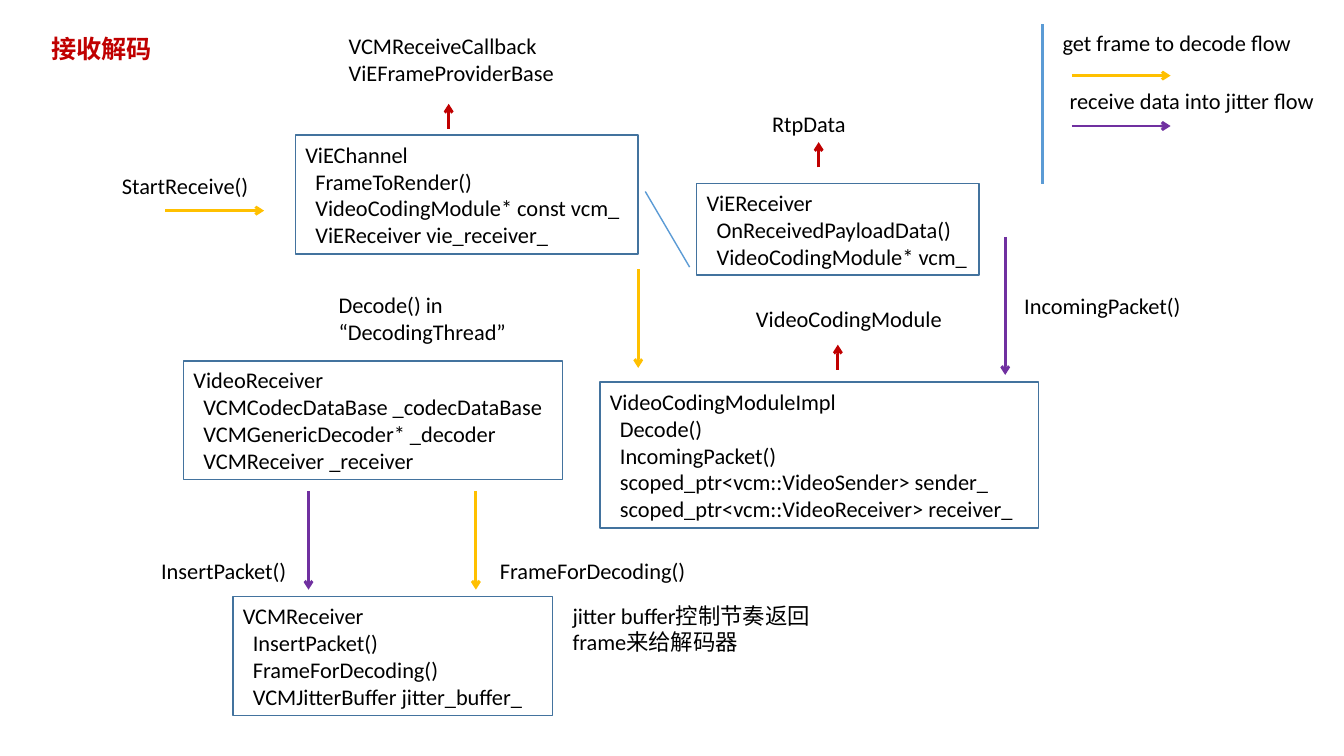
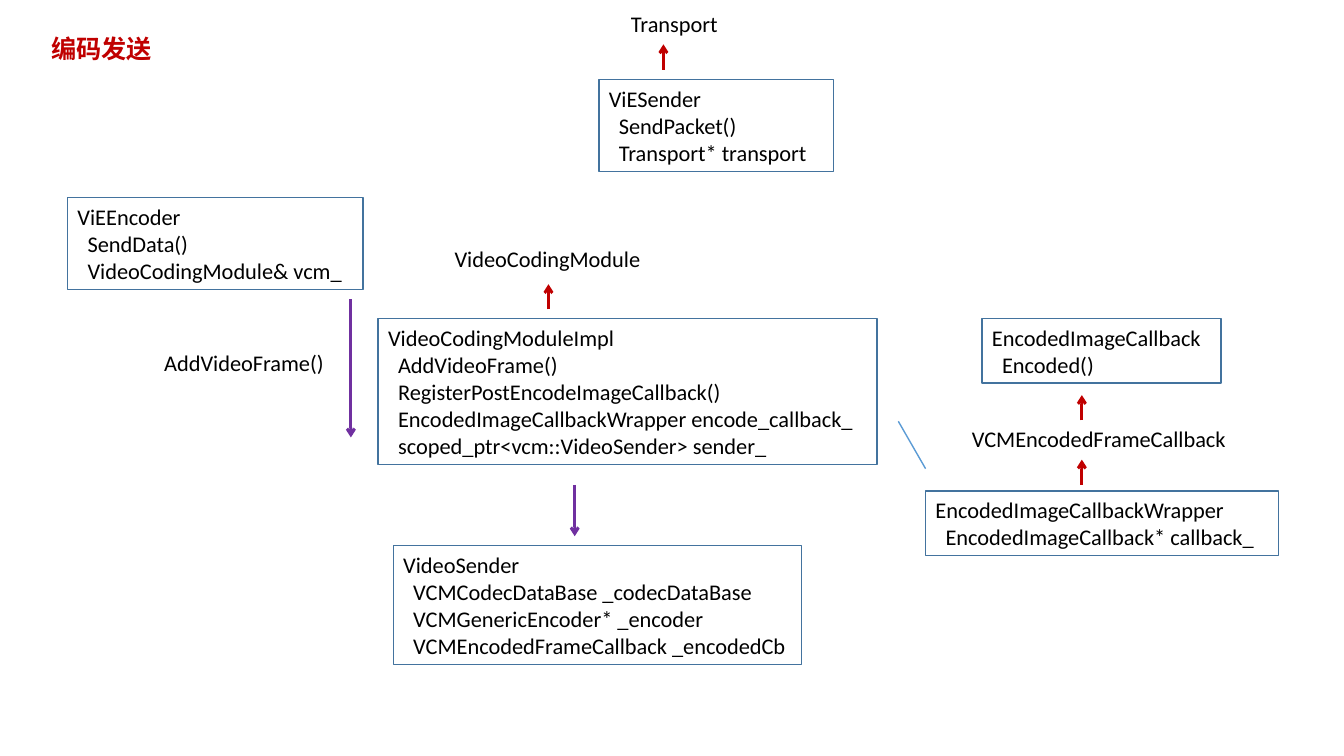
from lxml import etree
from pptx import Presentation
from pptx.dml.color import RGBColor
from pptx.enum.shapes import MSO_CONNECTOR, MSO_SHAPE
from pptx.enum.text import MSO_ANCHOR, MSO_AUTO_SIZE, PP_ALIGN
from pptx.oxml.ns import qn
from pptx.util import Inches, Pt

RECT = MSO_SHAPE.RECTANGLE
STRAIGHT = MSO_CONNECTOR.STRAIGHT
FIT = MSO_AUTO_SIZE.SHAPE_TO_FIT_TEXT
LEFT = PP_ALIGN.LEFT
MIDDLE, TOP = MSO_ANCHOR.MIDDLE, MSO_ANCHOR.TOP

FONT = "Calibri"
BLACK, RED, EDGE, BLUE = "000000", "C00000", "43739E", "5B9BD5"
GOLD, PURPLE = "FFC000", "7030A0"
PAD, ROW = 0.1, 0.27    # box height = PAD + ROW per line
INDENT = 0.1
RISE = 0.25             # length of an arrow up to a base class

# classes: left, top, width, name, members
# labels:  left, top, width, lines
# bases:   x and bottom of each arrow up to a base class
# flows:   x, y, dx, dy, colour
# links:   x, y, dx, dy, line width
SLIDES = [
    {
        "title": "接收解码",
        "classes": [
            (2.93, 1.34, 3.4, "ViEChannel",
             ["FrameToRender()", "VideoCodingModule* const vcm_",
              "ViEReceiver vie_receiver_"]),
            (6.91, 1.82, 2.8, "ViEReceiver",
             ["OnReceivedPayloadData()", "VideoCodingModule* vcm_"]),
            (5.95, 3.79, 4.35, "VideoCodingModuleImpl",
             ["Decode()", "IncomingPacket()",
              "scoped_ptr<vcm::VideoSender> sender_",
              "scoped_ptr<vcm::VideoReceiver> receiver_"]),
            (1.82, 3.58, 3.76, "VideoReceiver",
             ["VCMCodecDataBase _codecDataBase",
              "VCMGenericDecoder* _decoder", "VCMReceiver _receiver"]),
            (2.31, 5.92, 3.17, "VCMReceiver",
             ["InsertPacket()", "FrameForDecoding()",
              "VCMJitterBuffer jitter_buffer_"]),
        ],
        "labels": [
            (3.36, 0.27, 2.33, ["VCMReceiveCallback", "ViEFrameProviderBase"]),
            (7.56, 1.04, 1.13, ["RtpData"]),
            (7.4, 2.98, 2.06, ["VideoCodingModule"]),
            (1.11, 1.66, 1.51, ["StartReceive()"]),
            (3.26, 2.84, 2.2, ["Decode() in “DecodingThread”"]),
            (10.06, 2.85, 1.85, ["IncomingPacket()"]),
            (1.5, 5.48, 1.5, ["InsertPacket()"]),
            (4.86, 5.48, 2.1, ["FrameForDecoding()"]),
            (5.58, 5.92, 2.58, ["jitter buffer控制节奏返回", "frame来给解码器"]),
            (10.44, 0.24, 2.52, ["get frame to decode flow"]),
            (10.51, 0.82, 2.7, ["receive data into jitter flow"]),
        ],
        "bases": [(4.45, 1.28), (8.12, 1.66), (8.31, 3.67)],
        "flows": [
            (1.64, 2.09, 0.98, 0, GOLD),
            (6.33, 2.67, 0, 0.98, GOLD),
            (9.97, 2.35, 0, 1.37, PURPLE),
            (3.06, 4.87, 0, 0.98, PURPLE),
            (4.72, 4.87, 0, 0.98, GOLD),
            (10.63, 0.75, 0.98, 0, GOLD),
            (10.63, 1.25, 0.98, 0, PURPLE),
        ],
        "links": [(6.4, 1.9, 0.44, 0.75, 1), (10.34, 0.24, 0, 1.59, 2)],
    },
    {
        "title": "编码发送",
        "classes": [
            (5.94, 0.79, 2.33, "ViESender",
             ["SendPacket()", "Transport* transport"]),
            (0.67, 1.96, 2.93, "ViEEncoder",
             ["SendData()", "VideoCodingModule& vcm_"]),
            (3.75, 3.16, 4.95, "VideoCodingModuleImpl",
             ["AddVideoFrame()", "RegisterPostEncodeImageCallback()",
              "EncodedImageCallbackWrapper encode_callback_",
              "scoped_ptr<vcm::VideoSender> sender_"]),
            (3.9, 5.41, 4.05, "VideoSender",
             ["VCMCodecDataBase _codecDataBase",
              "VCMGenericEncoder* _encoder",
              "VCMEncodedFrameCallback _encodedCb"]),
            (9.74, 3.16, 2.37, "EncodedImageCallback", ["Encoded()"]),
            (9.18, 4.87, 3.5, "EncodedImageCallbackWrapper",
             ["EncodedImageCallback* callback_"]),
        ],
        "labels": [
            (6.16, 0.05, 1.13, ["Transport"]),
            (4.41, 2.38, 2.06, ["VideoCodingModule"]),
            (1.53, 3.41, 1.85, ["AddVideoFrame()"]),
            (9.54, 4.17, 2.78, ["VCMEncodedFrameCallback"]),
        ],
        "bases": [(6.58, 0.69), (5.44, 3.07), (10.73, 4.17), (10.73, 4.81)],
        "flows": [(3.48, 2.97, 0, 1.37, PURPLE), (5.7, 4.81, 0, 0.51, PURPLE)],
        "links": [(8.91, 4.18, 0.27, 0.47, 1)],
    },
]


def rgb(code):
    return RGBColor.from_string(code)


def write(shape, lines, size=16, color=BLACK, bold=False, indent=0,
          anchor=TOP):
    """Fill a shape with one paragraph a line, indenting all but the first."""
    frame = shape.text_frame
    frame.word_wrap = True
    frame.auto_size = FIT
    frame.vertical_anchor = anchor
    for i, line in enumerate(lines):
        para = frame.add_paragraph() if i else frame.paragraphs[0]
        para.alignment = LEFT
        if i and indent:
            para._p.get_or_add_pPr().set("marL", str(Inches(indent)))
        run = para.add_run()
        run.text = line
        font = run.font
        font.name, font.size, font.bold = FONT, Pt(size), bold
        font.color.rgb = rgb(color)


def place(x, y, width, count):
    height = PAD + ROW * count
    return [Inches(n) for n in (x, y, width, height)]


def label(slide, x, y, width, lines, **style):
    box = slide.shapes.add_textbox(*place(x, y, width, len(lines)))
    write(box, lines, **style)


def block(slide, x, y, width, name, members):
    """Draw a class as an outlined box with its members indented."""
    lines = [name] + members
    box = slide.shapes.add_shape(RECT, *place(x, y, width, len(lines)))
    box.shadow.inherit = False
    box.fill.background()
    box.line.color.rgb = rgb(EDGE)
    box.line.width = Pt(1)
    write(box, lines, indent=INDENT, anchor=MIDDLE)


def stroke(slide, x, y, dx, dy, color, width=2, arrow=True):
    ends = [Inches(n) for n in (x, y, x + dx, y + dy)]
    line = slide.shapes.add_connector(STRAIGHT, *ends)
    line.line.color.rgb = rgb(color)
    line.line.width = Pt(width)
    if arrow:
        edge = line.line._get_or_add_ln()
        etree.SubElement(edge, qn("a:tailEnd")).set("type", "arrow")
    etree.SubElement(line._element.spPr, qn("a:effectLst"))


def build(slide, data):
    label(slide, 0.41, 0.28, 1.23, [data["title"]],
          size=18, color=RED, bold=True)
    for item in data["classes"]:
        block(slide, *item)
    for item in data["labels"]:
        label(slide, *item)
    for x, y in data["bases"]:
        stroke(slide, x, y, 0, -RISE, RED)
    for item in data["flows"]:
        stroke(slide, *item)
    for x, y, dx, dy, width in data["links"]:
        stroke(slide, x, y, dx, dy, BLUE, width, arrow=False)


def main():
    deck = Presentation()
    deck.slide_width, deck.slide_height = Inches(13.33), Inches(7.5)
    blank = deck.slide_layouts[6]
    for data in SLIDES:
        build(deck.slides.add_slide(blank), data)
    deck.save("out.pptx")


if __name__ == "__main__":
    main()
